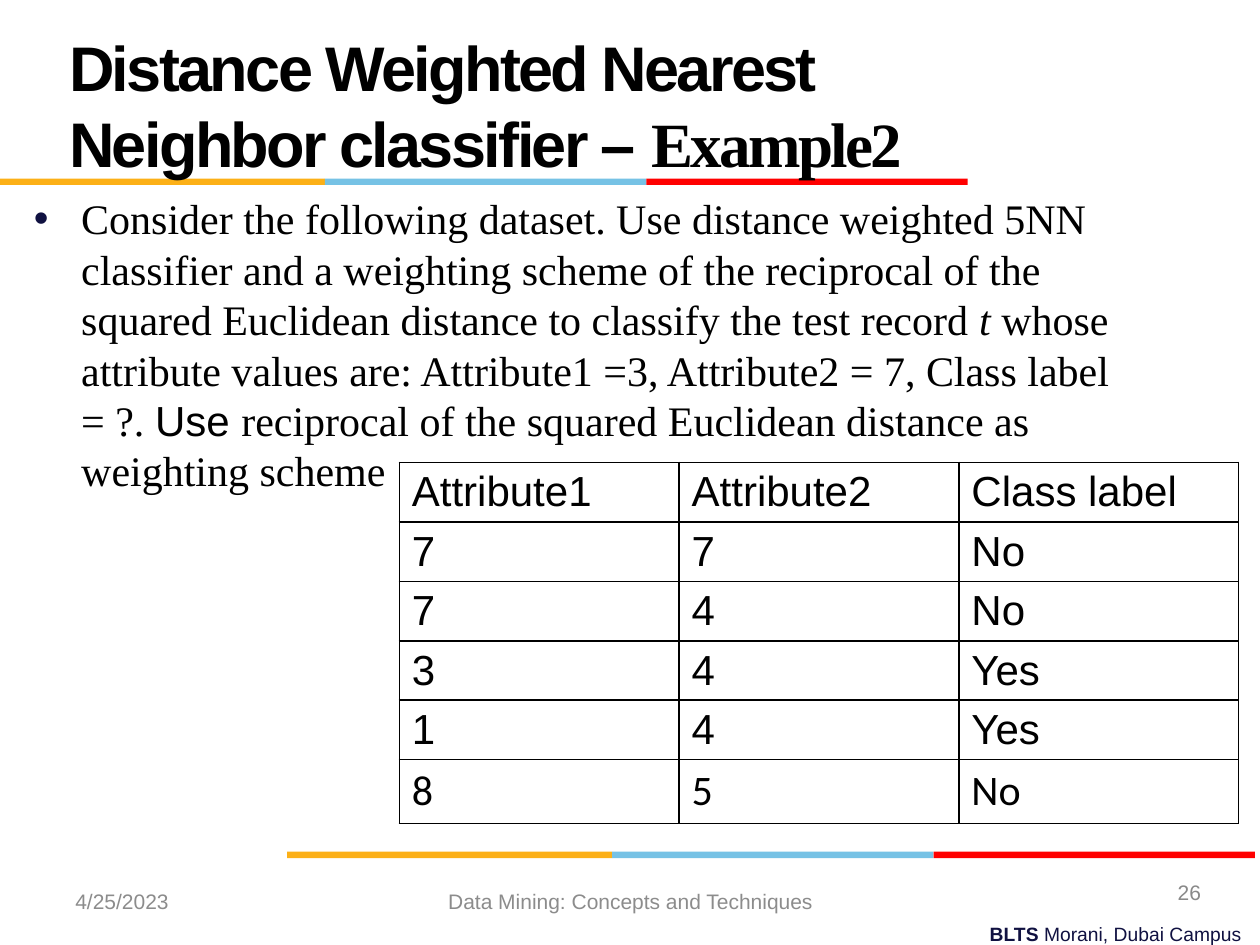
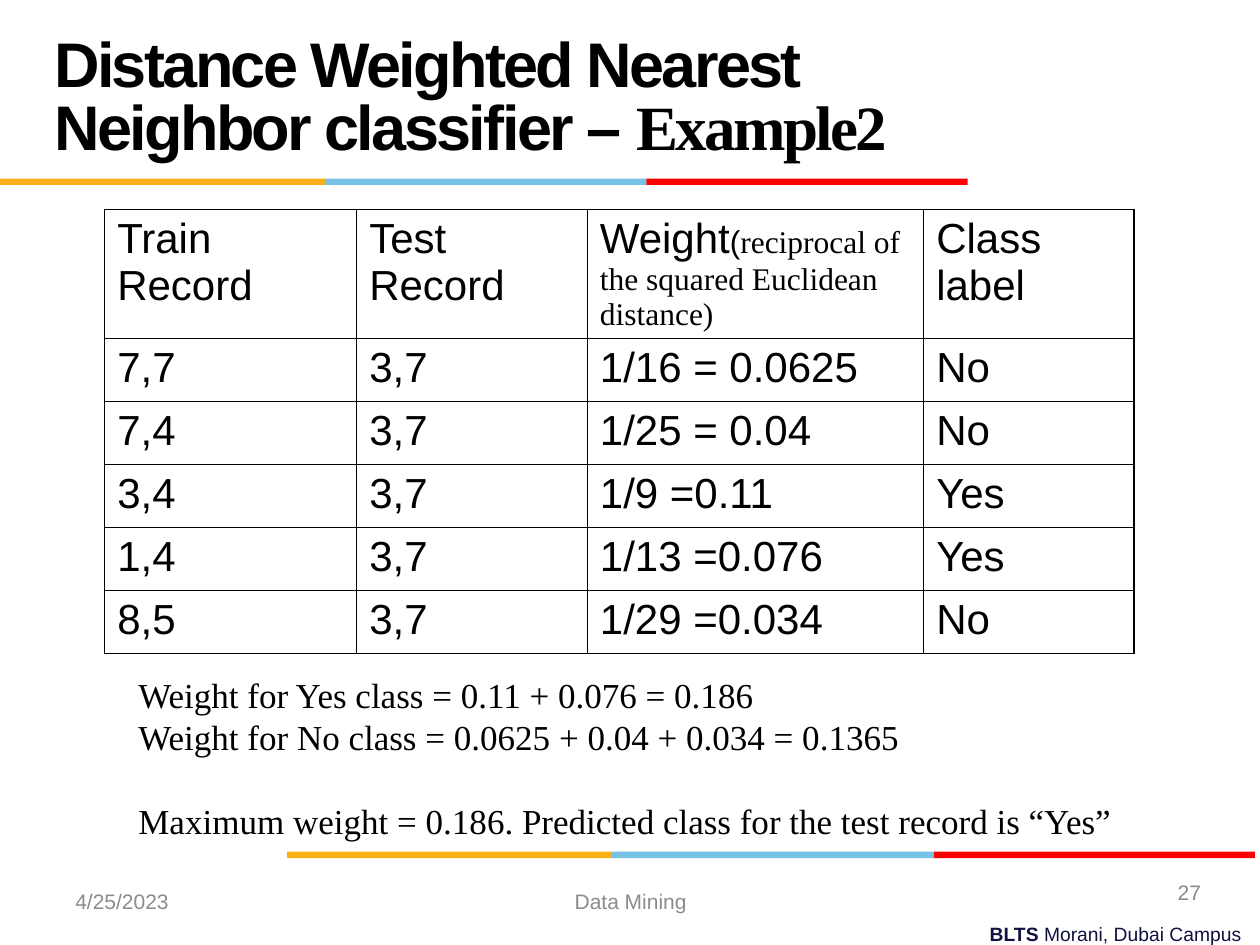
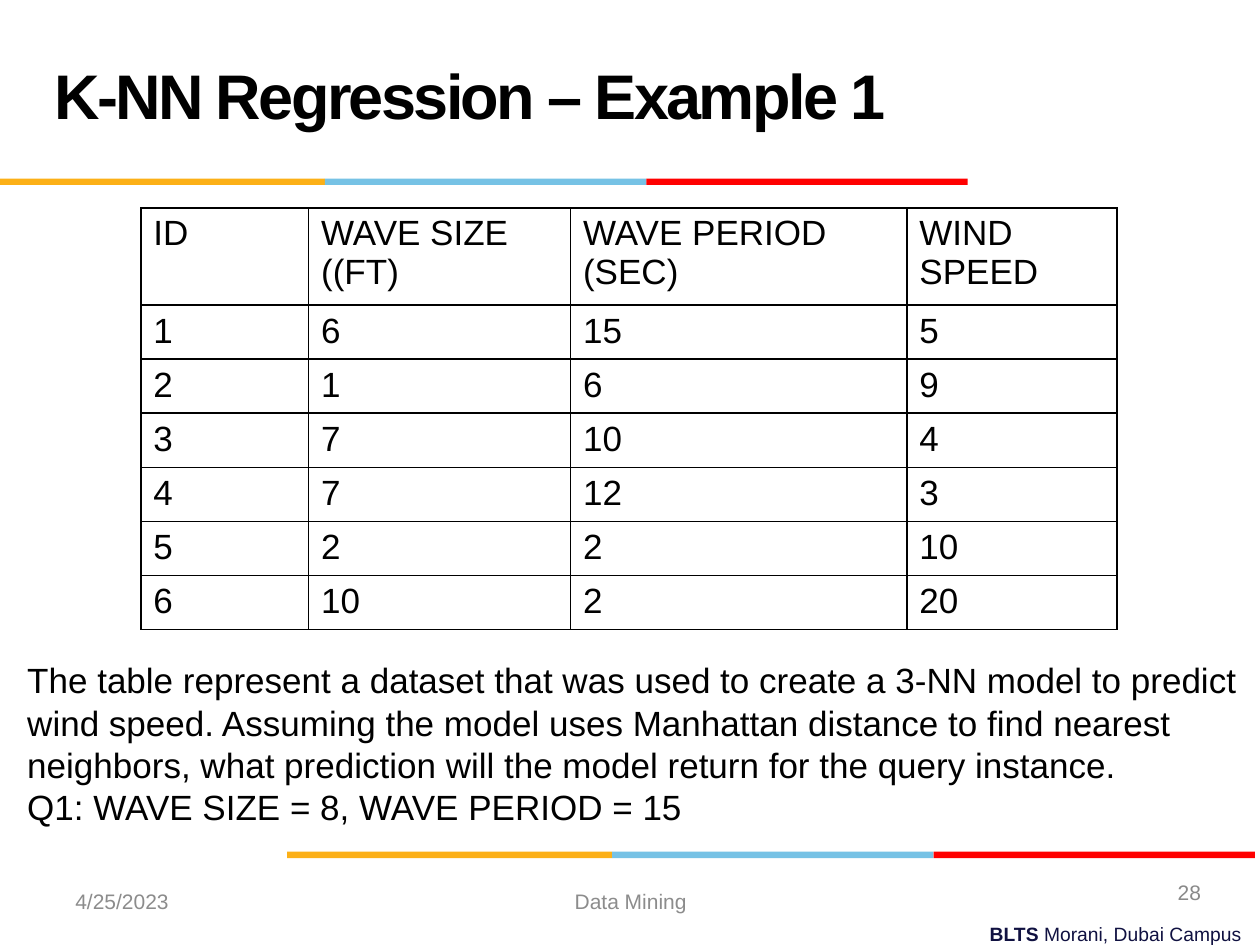
from lxml import etree
from pptx import Presentation
from pptx.dml.color import RGBColor
from pptx.enum import shapes, text
from pptx.oxml import ns
from pptx.util import Cm, Pt

SANS, SERIF = "Arial", "Times New Roman"
BLACK, NAVY, GREY = "000000", "101141", "8C8C8C"
BANDS = [(6.55, "FCB017"), (6.48, "76C2E5"), (6.48, "FF0000")]
LEFT, MID, RIGHT = text.PP_ALIGN.LEFT, text.PP_ALIGN.CENTER, text.PP_ALIGN.RIGHT
HIGH = (1.14, 0.51, 17.4, 3.18)
HEAD = (0.84, 0.43, 17.58, 3.18)
NAME = ["Distance Weighted Nearest Neighbor classifier – ",
        ("Example2", {"face": SERIF})]


def color(code):
    return RGBColor.from_string(code)


def write(par, parts, **base):
    """Fill a paragraph with parts, each plain text or (text, changes)."""
    if isinstance(parts, str):
        parts = [parts]
    for part in parts:
        words, diff = (part, {}) if isinstance(part, str) else part
        look = {"face": SANS, "size": 24, "tone": BLACK, "bold": False,
                "slant": False, **base, **diff}
        run = par.add_run()
        run.text = words
        font = run.font
        font.name, font.size = look["face"], Pt(look["size"])
        font.bold, font.italic = look["bold"], look["slant"]
        font.color.rgb = color(look["tone"])


def place(shape, box):
    shape.left, shape.top, shape.width, shape.height = map(Cm, box)


def lift(shape):
    """Bring a placeholder in front of the bands."""
    shape.element.getparent().append(shape.element)


def label(slide, box, parts, align=LEFT, anchor=text.MSO_ANCHOR.MIDDLE, **look):
    frame = slide.shapes.add_textbox(*map(Cm, box)).text_frame
    frame.word_wrap = True
    frame.vertical_anchor = anchor
    par = frame.paragraphs[0]
    par.alignment = align
    write(par, parts, **look)


def band(slide, left, top):
    for width, code in BANDS:
        bar = slide.shapes.add_shape(shapes.MSO_SHAPE.RECTANGLE,
                                     Cm(left), Cm(top), Cm(width), Cm(0.13))
        bar.shadow.inherit = False
        bar.fill.solid()
        bar.fill.fore_color.rgb = color(code)
        bar.line.fill.background()
        left += width


def title(slide, box, parts, pitch):
    shape = slide.shapes.title
    lift(shape)
    place(shape, box)
    frame = shape.text_frame
    frame.auto_size = text.MSO_AUTO_SIZE.NONE
    frame.vertical_anchor = text.MSO_ANCHOR.MIDDLE
    par = frame.paragraphs[0]
    par.alignment = LEFT
    par.line_spacing = Pt(pitch)
    write(par, parts, size=36, bold=True)
    for run in par.runs:
        run.font._element.set("spc", "-150")


def start(deck, layout, number, foot, box, parts, pitch=36):
    """Add a slide with its bands, footer and title."""
    slide = deck.slides.add_slide(deck.slide_layouts[layout])
    label(slide, (8.97, 18.47, 16.31, 0.74),
          [("BLTS ", {"bold": True}), "Morani, Dubai Campus"], RIGHT,
          text.MSO_ANCHOR.TOP, size=11, tone=NAVY)
    band(slide, 5.79, 17.17)
    band(slide, 0, 3.6)
    label(slide, (1.27, 17.65, 5.92, 1.02), "4/25/2023", size=12, tone=GREY)
    label(slide, (8.69, 17.65, 8.05, 1.02), foot, MID, size=12, tone=GREY)
    label(slide, (18.54, 17.48, 5.92, 1.02), str(number), RIGHT,
          size=12, tone="898989")
    title(slide, box, parts, pitch)
    return slide


def bullet(slide, box, parts):
    shape = slide.placeholders[1]
    lift(shape)
    place(shape, box)
    shape.text_frame.auto_size = text.MSO_AUTO_SIZE.NONE
    par = shape.text_frame.paragraphs[0]
    par.space_before = Pt(0)
    par.line_spacing = Pt(28.8)
    write(par, parts, face=SERIF)
    tint = etree.SubElement(par._p.get_or_add_pPr(), ns.qn("a:buClr"))
    etree.SubElement(tint, ns.qn("a:srgbClr"), val=NAVY)


def note(slide, box, lines, face, gaps=()):
    """Write 20-point lines; those indexed in gaps get a line of space above."""
    frame = slide.shapes.add_textbox(*map(Cm, box)).text_frame
    frame.word_wrap = True
    for i, line in enumerate(lines):
        par = frame.add_paragraph() if i else frame.paragraphs[0]
        par.line_spacing = Pt(24)
        if i in gaps:
            par.space_before = Pt(24)
        write(par, line, face=face, size=20)


def edge(cell):
    props = cell._tc.get_or_add_tcPr()
    for i, side in enumerate("LRTB"):
        line = etree.Element(ns.qn(f"a:ln{side}"), w=str(Pt(1)))
        fill = etree.SubElement(line, ns.qn("a:solidFill"))
        etree.SubElement(fill, ns.qn("a:srgbClr"), val=BLACK)
        props.insert(i, line)


def grid(slide, spot, cols, head, step, rows, size=24):
    """Draw a ruled table whose first row is head high, the others step."""
    highs = [head] + [step] * (len(rows) - 1)
    frame = slide.shapes.add_table(len(rows), len(cols), *map(Cm, spot),
                                   Cm(sum(cols)), Cm(sum(highs)))
    table = frame.table
    table.first_row = table.horz_banding = False
    for col, width in zip(table.columns, cols):
        col.width = Cm(width)
    for r, (row, high) in enumerate(zip(rows, highs)):
        table.rows[r].height = Cm(high)
        for c, parts in enumerate(row):
            cell = table.cell(r, c)
            cell.fill.background()
            edge(cell)
            write(cell.text_frame.paragraphs[0], parts, size=size)


def task(deck):
    slide = start(deck, 1, 26, "Data Mining: Concepts and Techniques",
                  HIGH, NAME, 43.2)
    bullet(slide, (0.43, 3.76, 22.86, 12.57), [
        "Consider the following dataset. Use distance weighted 5NN classifier "
        "and a weighting scheme of the reciprocal of the squared Euclidean "
        "distance to classify the test record ",
        ("t", {"slant": True}),
        " whose attribute values are: Attribute1 =3, Attribute2 = 7, "
        "Class label = ?. ",
        ("Use ", {"face": SANS}),
        "reciprocal of the squared Euclidean distance as weighting scheme"])
    last = [[(word, {"face": "Calibri"})] for word in ("8", "5", "No")]
    grid(slide, (8.05, 9.32), [5.64] * 3, 1.04, 1.04, [
        ("Attribute1", "Attribute2", "Class label"),
        ("7", "7", "No"),
        ("7", "4", "No"),
        ("3", "4", "Yes"),
        ("1", "4", "Yes"),
        last])


def answer(deck):
    slide = start(deck, 5, 27, "Data Mining", HEAD, NAME)
    weight = ["Weight", ("(", {"size": 18}),
              ("reciprocal of the squared Euclidean distance)",
               {"size": 18, "face": SERIF})]
    grid(slide, (2.11, 4.22), [5.08, 4.65, 6.78, 4.24], 2.29, 1.27, [
        ("Train Record", "Test Record", weight, "Class label"),
        ("7,7", "3,7", "1/16 = 0.0625", "No"),
        ("7,4", "3,7", "1/25 = 0.04", "No"),
        ("3,4", "3,7", "1/9 =0.11", "Yes"),
        ("1,4", "3,7", "1/13 =0.076", "Yes"),
        ("8,5", "3,7", "1/29 =0.034", "No")])
    note(slide, (2.54, 13.46, 20.96, 3.68), [
        "Weight for Yes class = 0.11 + 0.076 = 0.186",
        "Weight for No class = 0.0625 + 0.04 + 0.034 = 0.1365",
        "Maximum weight = 0.186. Predicted class for the test record is “Yes”",
    ], SERIF, gaps=[2])


def waves(deck):
    slide = start(deck, 5, 28, "Data Mining", HEAD,
                  "K-NN Regression – Example 1")
    grid(slide, (2.84, 4.19), [3.38, 5.28, 6.78, 4.24], 1.96, 1.09, [
        ("ID", "WAVE SIZE ((FT)", "WAVE PERIOD (SEC)", "WIND SPEED"),
        ("1", "6", "15", "5"),
        ("2", "1", "6", "9"),
        ("3", "7", "10", "4"),
        ("4", "7", "12", "3"),
        ("5", "2", "2", "10"),
        ("6", "10", "2", "20")], size=20)
    note(slide, (0.3, 13.16, 25.1, 3.68), [
        "The table represent a dataset that was used to create a 3-NN model "
        "to predict",
        "wind speed. Assuming the model uses Manhattan distance to find "
        "nearest neighbors, what prediction will the model return for the "
        "query instance.",
        "Q1: WAVE SIZE = 8, WAVE PERIOD = 15"], SANS)


def main():
    deck = Presentation()
    deck.slide_width, deck.slide_height = Cm(25.4), Cm(19.05)
    task(deck)
    answer(deck)
    waves(deck)
    deck.save("out.pptx")


if __name__ == "__main__":
    main()
